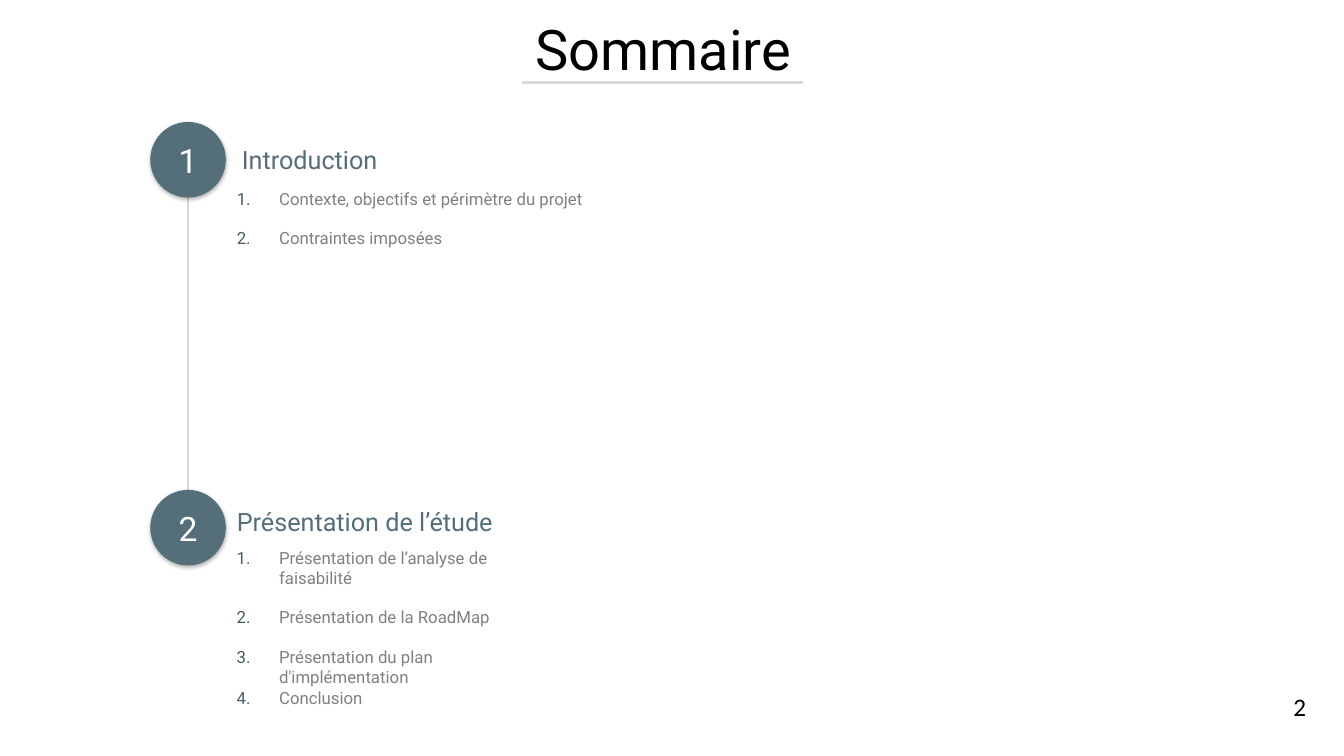
"""Build the numbered summary slide."""
from dataclasses import dataclass

from lxml import etree
from pptx import Presentation
from pptx.dml.color import RGBColor
from pptx.enum import shapes, text
from pptx.oxml import ns
from pptx.util import Inches, Pt


@dataclass(frozen=True)
class Theme:
    font: str = "Roboto"
    plain: str = "Calibri"
    black: str = "000000"
    white: str = "FFFFFF"
    slate: str = "546E7A"
    number: str = "455A64"
    gray: str = "808080"
    rule: str = "D9D9D9"
    title: int = 40
    badge: int = 24
    head: int = 18
    body: int = 12
    gap: int = 14


@dataclass(frozen=True)
class Box:
    left: float
    top: float
    width: float
    height: float

    def emu(self) -> list:
        return [Inches(n) for n in (self.left, self.top, self.width, self.height)]


@dataclass(frozen=True)
class Item:
    label: str
    spaced: bool = False


@dataclass(frozen=True)
class Part:
    top: float
    name: str
    head: Box
    list: Box
    items: tuple


THEME = Theme()
LEFT, SIZE, INDENT = 1.49, 0.75, 0.42
PARTS = (
    Part(1.21, "Introduction", Box(2.3, 1.38, 1.58, 0.4), Box(2.25, 1.82, 3.79, 0.71),
         (Item("Contexte, objectifs et périmètre du projet", True),
          Item("Contraintes imposées"))),
    Part(4.86, "Présentation de l’étude", Box(2.25, 4.97, 2.81, 0.4), Box(2.25, 5.38, 2.97, 2.12),
         (Item("Présentation de l’analyse de faisabilité", True),
          Item("Présentation de la RoadMap", True),
          Item("Présentation du plan d'implémentation"),
          Item("Conclusion"))),
)


def add(parent, tag: str, **attrs: str):
    return etree.SubElement(parent, ns.qn(tag), attrs)


def style(line, size: int, color: str, font: str = THEME.font) -> None:
    for run in line.runs:
        run.font.size = Pt(size)
        run.font.name = font
        run.font.color.rgb = RGBColor.from_string(color)


def write(slide, box: Box, words: str, size: int, color: str,
          font: str = THEME.font, wrap: bool = True):
    frame = slide.shapes.add_textbox(*box.emu()).text_frame
    frame.word_wrap = wrap
    frame.text = words
    for line in frame.paragraphs:
        style(line, size, color, font)
    return frame


def rule(slide, start: tuple, end: tuple):
    line = slide.shapes.add_connector(
        shapes.MSO_CONNECTOR.STRAIGHT, *[Inches(n) for n in start + end])
    line.line.color.rgb = RGBColor.from_string(THEME.rule)
    line.line.width = Pt(2)
    add(line._element.spPr, "a:effectLst")
    return line


def badge(slide, top: float, label: str):
    disc = slide.shapes.add_shape(
        shapes.MSO_SHAPE.OVAL, *Box(LEFT, top, SIZE, SIZE).emu())
    disc.fill.solid()
    disc.fill.fore_color.rgb = RGBColor.from_string(THEME.slate)
    disc.line.fill.background()
    disc.shadow.inherit = False
    effects = disc._element.spPr.find(ns.qn("a:effectLst"))
    shade = add(effects, "a:outerShdw", blurRad=str(Pt(3)), dist=str(Pt(1)),
                dir="5400000", algn="t", rotWithShape="0")
    add(add(shade, "a:srgbClr", val=THEME.black), "a:alpha", val="30000")
    frame = disc.text_frame
    frame.text = label
    frame.vertical_anchor = text.MSO_ANCHOR.MIDDLE
    frame.paragraphs[0].alignment = text.PP_ALIGN.CENTER
    style(frame.paragraphs[0], THEME.badge, THEME.white)
    return disc


def outline(slide, part: Part) -> None:
    words = "\n".join(item.label for item in part.items)
    frame = write(slide, part.list, words, THEME.body, THEME.gray)
    for line, item in zip(frame.paragraphs, part.items):
        line.space_after = Pt(THEME.gap if item.spaced else 0)
        props = line._p.get_or_add_pPr()
        props.set("marL", str(Inches(INDENT)))
        props.set("indent", str(-Inches(INDENT)))
        add(add(props, "a:buClr"), "a:srgbClr", val=THEME.number)
        add(props, "a:buAutoNum", type="arabicPeriod")


def main() -> None:
    deck = Presentation()
    deck.slide_width, deck.slide_height = Inches(13.33), Inches(7.5)
    slide = deck.slides.add_slide(deck.slide_layouts[6])
    title = write(slide, Box(LEFT, 0.1, 10.18, 0.77), "Sommaire", THEME.title, THEME.black)
    title.paragraphs[0].alignment = text.PP_ALIGN.CENTER
    rule(slide, (5.18, 0.82), (7.96, 0.82))
    axis = LEFT + SIZE / 2
    link = rule(slide, (axis, PARTS[0].top), (axis, PARTS[1].top))
    discs = []
    for rank, part in enumerate(PARTS, 1):
        discs.append(badge(slide, part.top, str(rank)))
        write(slide, part.head, part.name, THEME.head, THEME.slate, wrap=False)
        outline(slide, part)
    link.begin_connect(discs[0], 0)
    link.end_connect(discs[1], 0)
    write(slide, Box(12.73, 6.81, 0.6, 0.4), "2", THEME.head, THEME.black, THEME.plain)
    deck.save("out.pptx")


if __name__ == "__main__":
    main()
